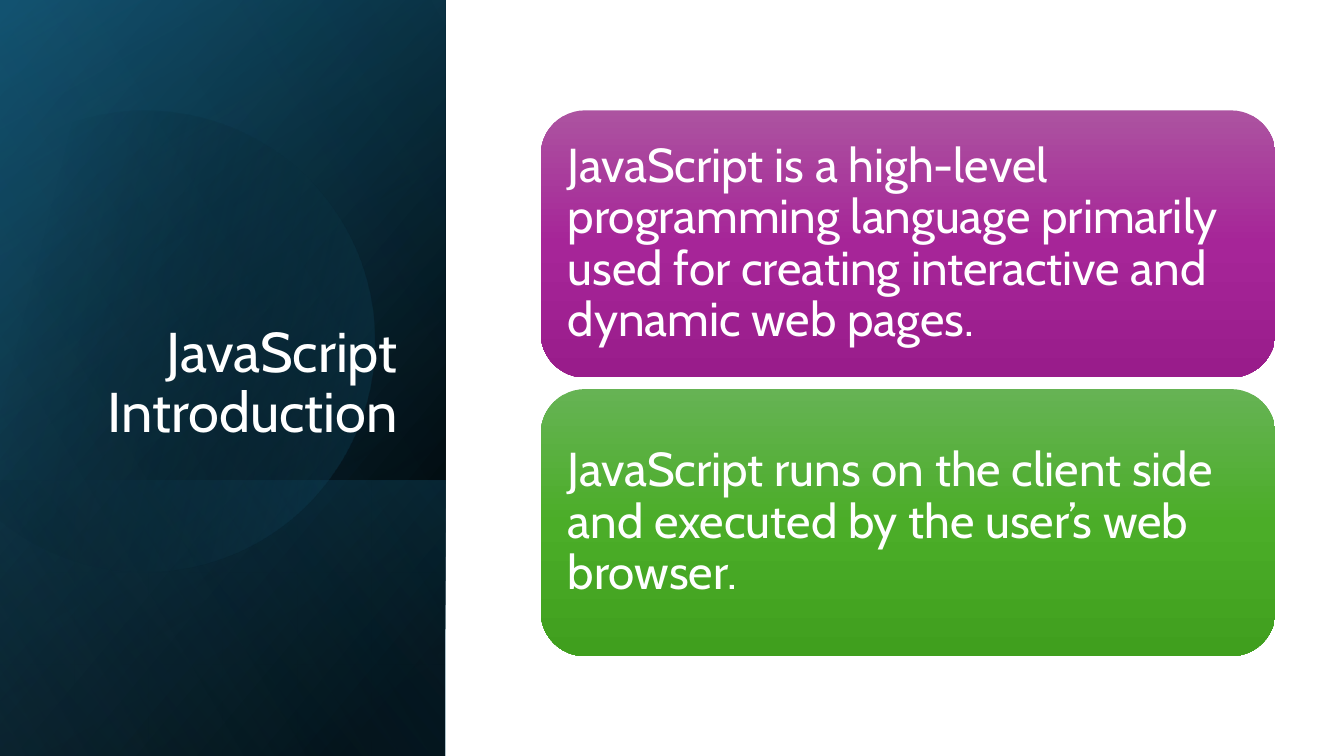
from math import cos, radians, sin

from pptx import Presentation
from pptx.dml.color import RGBColor
from pptx.enum.shapes import MSO_SHAPE as Shape
from pptx.enum.text import MSO_ANCHOR as Anchor, MSO_AUTO_SIZE as AutoSize, PP_ALIGN as Align
from pptx.oxml import parse_xml
from pptx.oxml.ns import nsdecls, qn
from pptx.util import Pt

PX = 4572
FONT = "Cabin"
COLORS = {
    "white": "FFFFFF", "black": "000000", "navy": "104862", "teal": "156082", "sky": "46B1E1",
    "purple light": "AC53A0", "purple": "A62598", "purple dark": "991C8B",
    "green light": "66B354", "green": "4BAD28", "green dark": "409F1E",
}


def paint_gradient(shape, angle, stops):
    stop_xml = "".join(
        f'<a:gs pos="{position * 1000}"><a:srgbClr val="{COLORS[color]}">'
        f'<a:alpha val="{opacity * 1000}"/></a:srgbClr></a:gs>'
        for position, color, opacity in stops
    )
    shape._element.spPr.insert(2, parse_xml(
        f'<a:gradFill {nsdecls("a")} rotWithShape="1"><a:gsLst>{stop_xml}</a:gsLst>'
        f'<a:lin ang="{angle * 60000}" scaled="0"/></a:gradFill>'
    ))
    shape.line.fill.background()
    shape.shadow.inherit = False


def write_text(frame, text, size, anchor, align):
    frame.word_wrap = True
    frame.auto_size = AutoSize.NONE
    frame.vertical_anchor = anchor
    frame.text = text
    paragraph = frame.paragraphs[0]
    paragraph.alignment = align
    paragraph.line_spacing = 0.9
    paragraph.font.name = FONT
    paragraph.font.size = Pt(size)
    paragraph.font.color.rgb = RGBColor.from_string(COLORS["white"])


presentation = Presentation()
presentation.slide_width, presentation.slide_height = 2667 * PX, 1500 * PX
slide = presentation.slides.add_slide(presentation.slide_layouts[5])
shapes = slide.shapes
title = shapes.title

FULL = (-308, 308, 1500, 884)
LOWER = (168, 785, 548, 884)
panels = [
    (FULL, 50, [(8, "black", 100), (100, "navy", 100)]),
    (FULL, 30, [(0, "black", 0), (99, "teal", 46)]),
    (LOWER, 130, [(2, "teal", 29), (100, "black", 30)]),
    ("disc", 30, [(29, "black", 0), (100, "teal", 43)]),
    (FULL, 120, [(0, "black", 0), (99, "sky", 11)]),
]
DISC_RADIUS = 457 * PX
DISC_TURNS = [-118, -90, 0, 90, 150]
for box, angle, stops in panels:
    if box == "disc":
        points = [
            (round(DISC_RADIUS * cos(radians(turn))), round(DISC_RADIUS * sin(radians(turn))))
            for turn in DISC_TURNS
        ]
        builder = shapes.build_freeform(*points[0])
        builder.add_line_segments(points[1:], close=True)
        panel = builder.convert_to_shape()
        panel.left, panel.top = -110 * PX, 212 * PX
        panel.rotation = 343.9
        sides = list(panel._element.iter(qn("a:lnTo")))
        for side, start, end in zip(sides, DISC_TURNS, DISC_TURNS[1:]):
            side.getparent().replace(side, parse_xml(
                f'<a:arcTo {nsdecls("a")} wR="{DISC_RADIUS}" hR="{DISC_RADIUS}" '
                f'stAng="{start % 360 * 60000}" swAng="{(end - start) * 60000}"/>'
            ))
    else:
        panel = shapes.add_shape(Shape.RECTANGLE, *(length * PX for length in box))
        panel.rotation = 90
        panel._element.spPr.xfrm.set("flipH", "1")
    paint_gradient(panel, angle, stops)

shapes._spTree.append(title._element)
title.left, title.top, title.width, title.height = (length * PX for length in (128, 369, 681, 524))
write_text(title.text_frame, "JavaScript Introduction", 40, Anchor.BOTTOM, Align.RIGHT)

CARD_TOP, CARD_HEIGHT, CARD_PITCH = 219, 530, 553
cards = [
    ("purple", "JavaScript is a high-level programming language primarily used for creating "
               "interactive and dynamic web pages."),
    ("green", "JavaScript runs on the client side and executed by the user’s web browser."),
]
for index, (color, text) in enumerate(cards):
    top = CARD_TOP + index * CARD_PITCH
    card = shapes.add_shape(Shape.ROUNDED_RECTANGLE, 1073 * PX, top * PX, 1458 * PX, CARD_HEIGHT * PX)
    paint_gradient(card, 90, [(0, f"{color} light", 100), (50, color, 100), (100, f"{color} dark", 100)])
    frame = card.text_frame
    frame.margin_left = frame.margin_right = frame.margin_top = frame.margin_bottom = 28 * PX
    write_text(frame, text, 34, Anchor.MIDDLE, Align.LEFT)

presentation.save("out.pptx")
